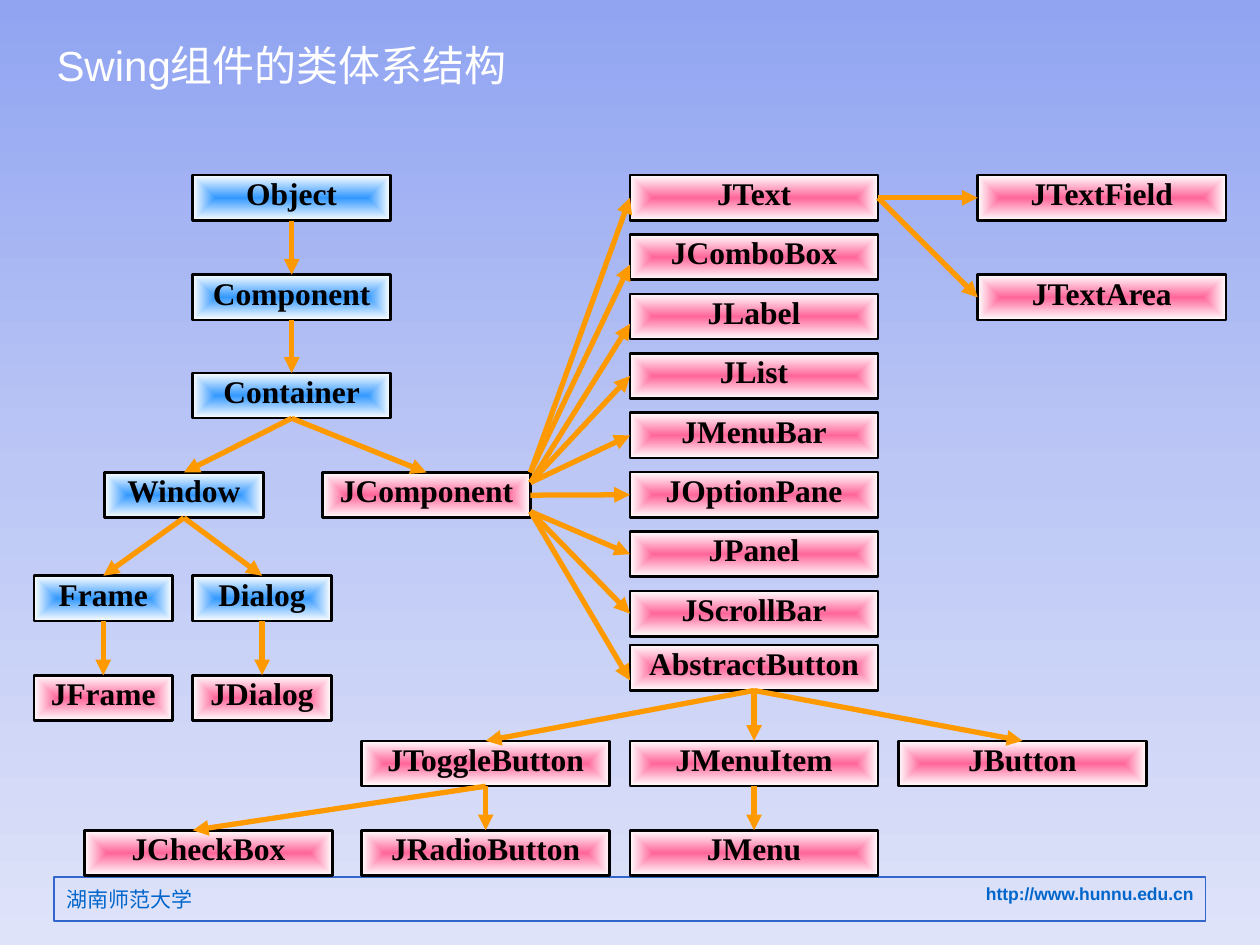
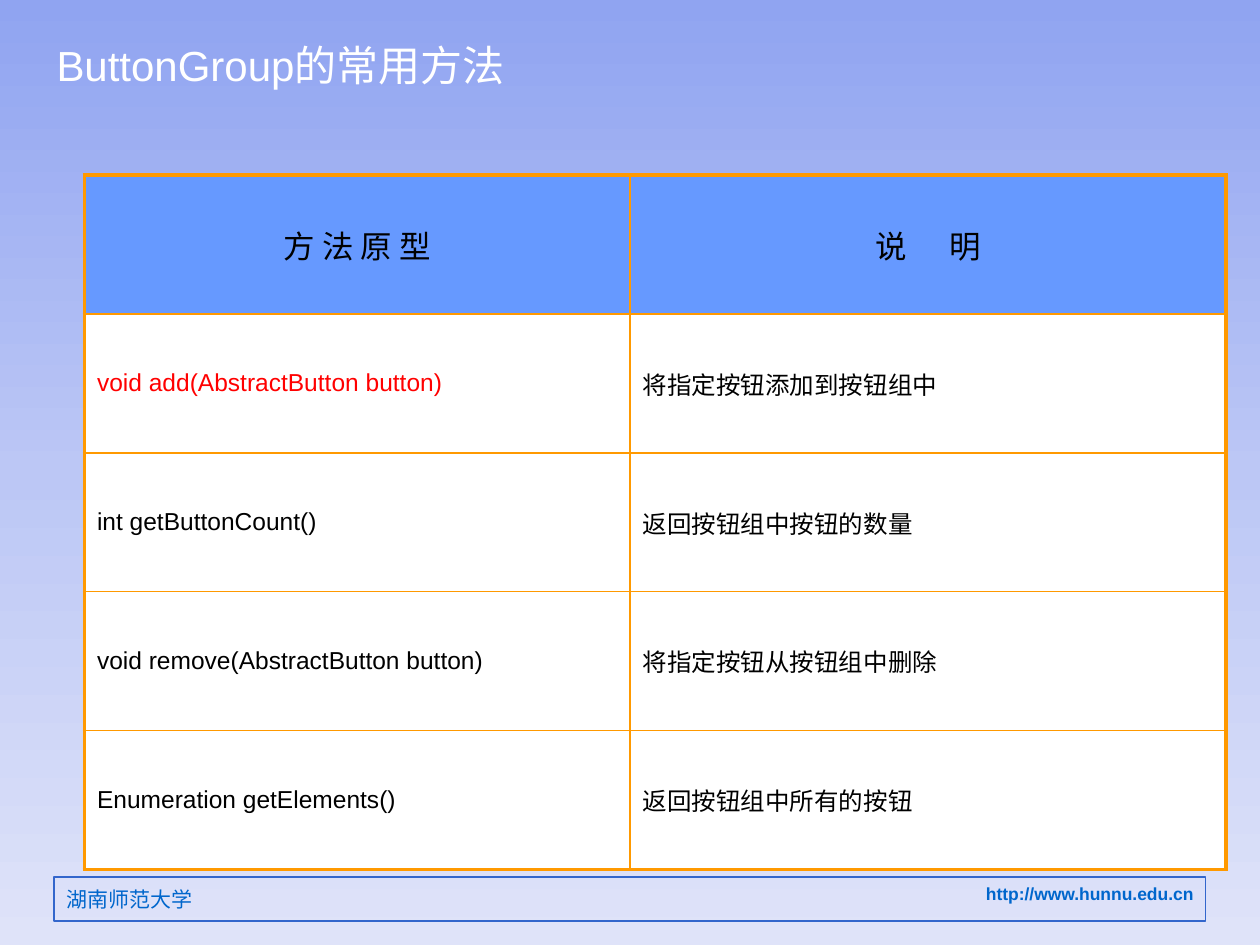
from dataclasses import dataclass
from typing import Optional

from lxml.etree import SubElement
from pptx import Presentation
from pptx.dml.color import RGBColor
from pptx.enum.shapes import MSO_CONNECTOR, MSO_SHAPE
from pptx.enum.text import MSO_ANCHOR, PP_ALIGN
from pptx.oxml.ns import qn
from pptx.util import Inches, Pt

COLORS = {
    "sky_top": "90A4F1", "sky_middle": "BCC7F5", "sky_bottom": "DFE3F9",
    "title": "FFFFFF", "footer_line": "3366CC", "footer_text": "0066CC",
    "awt": "3399FF", "swing": "FF6699", "white": "FFFFFF", "black": "000000",
    "orange": "FF9900", "header": "6699FF", "red": "FF0000",
}
LATIN, CHINESE, DIAGRAM = "Arial", "Noto Sans CJK SC", "Times New Roman"
NODE_HEIGHT = 0.36
TOP, LEFT, BOTTOM, RIGHT = range(4)


@dataclass(frozen=True)
class Node:
    name: str
    left: float
    top: float
    width: float
    family: str = "swing"


@dataclass(frozen=True)
class Arrow:
    """Goes down or right; tail_at and tip_at are places along a side, if not its middle."""
    parent: str
    child: str
    down: bool = True
    tail_at: Optional[float] = None
    tip_at: Optional[float] = None


@dataclass(frozen=True)
class Method:
    prototype: str
    meaning: str
    color: str = "black"


# Class hierarchy: widgets in one even column, the rest in rows
WIDGETS = ["JText", "JComboBox", "JLabel", "JList", "JMenuBar", "JOptionPane", "JPanel", "JScrollBar"]
WIDGET_LEFT, WIDGET_TOP, WIDGET_WIDTH = 5, 1.39, 1.97
WIDGET_PITCH = (4.69 - WIDGET_TOP) / 7
NODES = [
    Node("Object", 1.53, 1.39, 1.57, "awt"),
    Node("Component", 1.53, 2.18, 1.57, "awt"),
    Node("Container", 1.53, 2.96, 1.57, "awt"),
    Node("Window", 0.83, 3.75, 1.26, "awt"),
    Node("JComponent", 2.56, 3.75, 1.65),
    Node("Frame", 0.27, 4.57, 1.1, "awt"),
    Node("Dialog", 1.53, 4.57, 1.1, "awt"),
    Node("JFrame", 0.27, 5.36, 1.1),
    Node("JDialog", 1.53, 5.36, 1.1),
    *(Node(name, WIDGET_LEFT, WIDGET_TOP + i * WIDGET_PITCH, WIDGET_WIDTH)
      for i, name in enumerate(WIDGETS)),
    Node("AbstractButton", WIDGET_LEFT, 5.12, WIDGET_WIDTH),
    Node("JToggleButton", 2.87, 5.88, WIDGET_WIDTH),
    Node("JMenuItem", WIDGET_LEFT, 5.88, WIDGET_WIDTH),
    Node("JButton", 7.13, 5.88, WIDGET_WIDTH),
    Node("JCheckBox", 0.67, 6.59, WIDGET_WIDTH),
    Node("JRadioButton", 2.87, 6.59, WIDGET_WIDTH),
    Node("JMenu", WIDGET_LEFT, 6.59, WIDGET_WIDTH),
    Node("JTextField", 7.76, 1.39, WIDGET_WIDTH),
    Node("JTextArea", 7.76, 2.18, WIDGET_WIDTH),
]
ARROWS = [
    Arrow("Object", "Component"),
    Arrow("Component", "Container"),
    Arrow("Container", "Window"),
    Arrow("Container", "JComponent"),
    Arrow("Window", "Frame"),
    Arrow("Window", "Dialog"),
    Arrow("Frame", "JFrame"),
    Arrow("Dialog", "JDialog"),
    Arrow("JComponent", "JText", False, 3.75),
    Arrow("JComponent", "JComboBox", False, 3.75, 2.1),
    Arrow("JComponent", "JLabel", False, 3.83, 2.57),
    Arrow("JComponent", "JList", False, 3.83),
    Arrow("JComponent", "JMenuBar", False, 3.83),
    Arrow("JComponent", "JOptionPane", False),
    Arrow("JComponent", "JPanel", False, 4.06),
    Arrow("JComponent", "JScrollBar", False, 4.06),
    Arrow("JComponent", "AbstractButton", False, 4.06, 5.4),
    Arrow("AbstractButton", "JToggleButton"),
    Arrow("AbstractButton", "JMenuItem"),
    Arrow("AbstractButton", "JButton"),
    Arrow("JToggleButton", "JCheckBox", tip_at=1.53),
    Arrow("JToggleButton", "JRadioButton"),
    Arrow("JMenuItem", "JMenu"),
    Arrow("JText", "JTextField", False),
    Arrow("JText", "JTextArea", False),
]
METHODS = [
    Method("void add(AbstractButton button)", "将指定按钮添加到按钮组中", "red"),
    Method("int getButtonCount()", "返回按钮组中按钮的数量"),
    Method("void remove(AbstractButton button)", "将指定按钮从按钮组中删除"),
    Method("Enumeration getElements()", "返回按钮组中所有的按钮"),
]


def rgb(key: str) -> RGBColor:
    return RGBColor.from_string(COLORS[key])


def paint_gradient(fill, holder, stops: dict[int, str], from_center: bool) -> None:
    """Fill with stops given as percent to colour key."""
    fill.gradient()
    gradient = next(holder.iter(qn("a:gradFill")))
    for child in list(gradient):
        gradient.remove(child)
    stop_list = SubElement(gradient, qn("a:gsLst"))
    for percent, key in stops.items():
        stop = SubElement(stop_list, qn("a:gs"), pos=str(percent * 1000))
        SubElement(stop, qn("a:srgbClr"), val=COLORS[key])
    if from_center:
        center = SubElement(gradient, qn("a:path"), {"path": "shape"})
        SubElement(center, qn("a:fillToRect"), {side: "50000" for side in "ltrb"})
    else:
        SubElement(gradient, qn("a:lin"), ang="5400000", scaled="0")


def add_run(paragraph, text: str, size: float, color: str,
            font: str = LATIN, bold: bool = False):
    run = paragraph.add_run()
    run.text = text
    run.font.size = Pt(size)
    run.font.bold = bold
    run.font.color.rgb = rgb(color)
    run.font.name = font
    SubElement(run.font._element, qn("a:ea"), typeface=CHINESE)
    return run


def add_label(slide, left: float, top: float, width: float, height: float):
    label = slide.shapes.add_textbox(Inches(left), Inches(top), Inches(width), Inches(height))
    label.text_frame.word_wrap = True
    return label.text_frame


def add_rectangle(slide, left: float, top: float, width: float, height: float,
                  line_color: str, line_width: float):
    rectangle = slide.shapes.add_shape(
        MSO_SHAPE.RECTANGLE, Inches(left), Inches(top), Inches(width), Inches(height))
    rectangle.shadow.inherit = False
    rectangle.line.color.rgb = rgb(line_color)
    rectangle.line.width = Pt(line_width)
    rectangle.text_frame.word_wrap = True
    rectangle.text_frame.vertical_anchor = MSO_ANCHOR.TOP
    return rectangle


def new_slide(prs, title: str):
    """Blank slide with the shared footer and title."""
    slide = prs.slides.add_slide(prs.slide_layouts[6])
    footer = add_rectangle(slide, 0.43, 6.96, 9.14, 0.35, "footer_line", 0.75)
    footer.fill.background()
    address = footer.text_frame.paragraphs[0]
    address.alignment = PP_ALIGN.RIGHT
    add_run(address, "http://www.hunnu.edu.cn", 10, "footer_text", bold=True)
    university = add_label(slide, 0.43, 6.99, 3.94, 0.3)
    add_run(university.paragraphs[0], "湖南师范大学", 12, "footer_text", CHINESE)
    heading = add_label(slide, 0.35, 0.21, 5.52, 0.61)
    heading.vertical_anchor = MSO_ANCHOR.MIDDLE
    add_run(heading.paragraphs[0], title, 24, "title")
    return slide


def draw_node(slide, node: Node):
    box = add_rectangle(slide, node.left, node.top, node.width, NODE_HEIGHT, "black", 1.5)
    paint_gradient(box.fill, box._element.spPr, {0: node.family, 100: "white"}, True)
    class_name = box.text_frame.paragraphs[0]
    class_name.alignment = PP_ALIGN.CENTER
    class_name.line_spacing = 0.8
    add_run(class_name, node.name, 18, "black", DIAGRAM, True)
    return box


def draw_arrow(slide, arrow: Arrow, boxes: dict) -> None:
    parent, child = boxes[arrow.parent], boxes[arrow.child]
    tail, tip = Inches(arrow.tail_at or 0), Inches(arrow.tip_at or 0)
    if arrow.down:
        ends = tail, parent.top + parent.height, tip, child.top
        sides = BOTTOM, TOP
    else:
        ends = parent.left + parent.width, tail, child.left, tip
        sides = RIGHT, LEFT
    link = slide.shapes.add_connector(MSO_CONNECTOR.STRAIGHT, *ends)
    if arrow.tail_at is None:
        link.begin_connect(parent, sides[0])
    if arrow.tip_at is None:
        link.end_connect(child, sides[1])
    link.line.color.rgb = rgb("orange")
    link.line.width = Pt(3)
    SubElement(link.line._get_or_add_ln(), qn("a:tailEnd"), type="triangle")
    SubElement(link._element.spPr, qn("a:effectLst"))


def set_borders(cell, outer_sides: dict[str, bool]) -> None:
    """Thick lines on the outer edge of the table, thin ones inside."""
    properties = cell._tc.get_or_add_tcPr()
    for position, (side, is_outer) in enumerate(outer_sides.items()):
        line = SubElement(properties, qn(f"a:ln{side}"), w=str(Pt(2.25 if is_outer else 1)))
        color = SubElement(SubElement(line, qn("a:solidFill")), qn("a:srgbClr"))
        color.set("val", COLORS["orange"])
        properties.insert(position, line)


def build_hierarchy(prs) -> None:
    slide = new_slide(prs, "Swing组件的类体系结构")
    boxes = {node.name: draw_node(slide, node) for node in NODES}
    for arrow in ARROWS:
        draw_arrow(slide, arrow, boxes)


def build_methods(prs) -> None:
    slide = new_slide(prs, "ButtonGroup的常用方法")
    row_count = len(METHODS) + 1
    table = slide.shapes.add_table(
        row_count, 2, Inches(0.67), Inches(1.39), Inches(9.06), Inches(5.51)).table
    table.first_row = table.horz_banding = False
    table.columns[0].width, table.columns[1].width = Inches(4.33), Inches(4.73)

    # Fills and borders
    for r in range(row_count):
        for c in range(2):
            cell = table.cell(r, c)
            cell.vertical_anchor = MSO_ANCHOR.MIDDLE
            cell.fill.solid()
            cell.fill.fore_color.rgb = rgb("white" if r else "header")
            set_borders(cell, {"L": c == 0, "R": c == 1, "T": r == 0, "B": r == row_count - 1})

    # Header row; the gap in the second heading is letter spacing
    prototype, meaning = (table.cell(0, c).text_frame.paragraphs[0] for c in range(2))
    prototype.alignment = meaning.alignment = PP_ALIGN.CENTER
    add_run(prototype, "方 法 原 型", 18, "black")
    add_run(meaning, "说", 18, "black")
    gap = add_run(meaning, " ", 18, "black")
    gap.font._element.set("spc", "2000")
    add_run(meaning, "明", 18, "black")

    # Method rows
    for r, method in enumerate(METHODS, start=1):
        add_run(table.cell(r, 0).text_frame.paragraphs[0], method.prototype, 14, method.color)
        add_run(table.cell(r, 1).text_frame.paragraphs[0], method.meaning, 14, "black")


def main() -> None:
    prs = Presentation()
    prs.slide_width, prs.slide_height = Inches(10), Inches(7.5)
    master = prs.slide_master
    paint_gradient(master.background.fill, master._element,
                   {0: "sky_top", 50: "sky_middle", 100: "sky_bottom"}, False)
    build_hierarchy(prs)
    build_methods(prs)
    prs.save("out.pptx")


if __name__ == "__main__":
    main()
